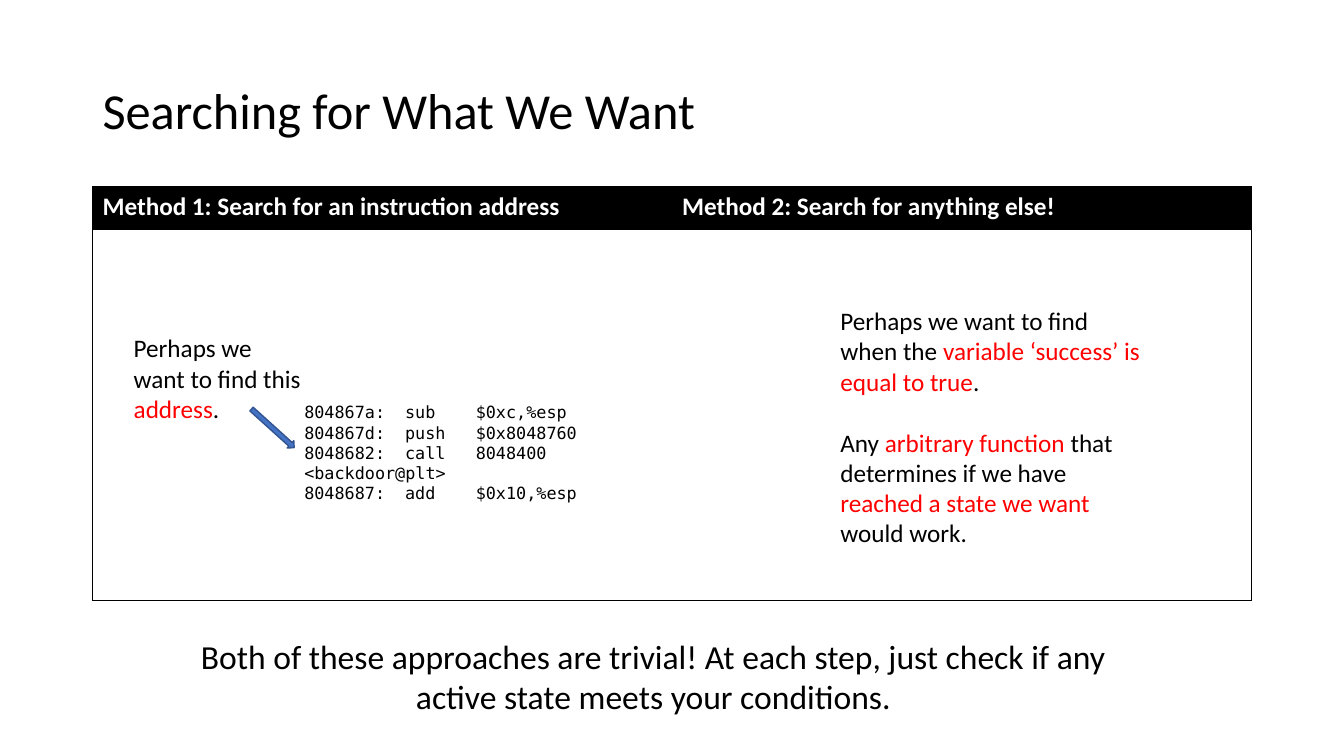
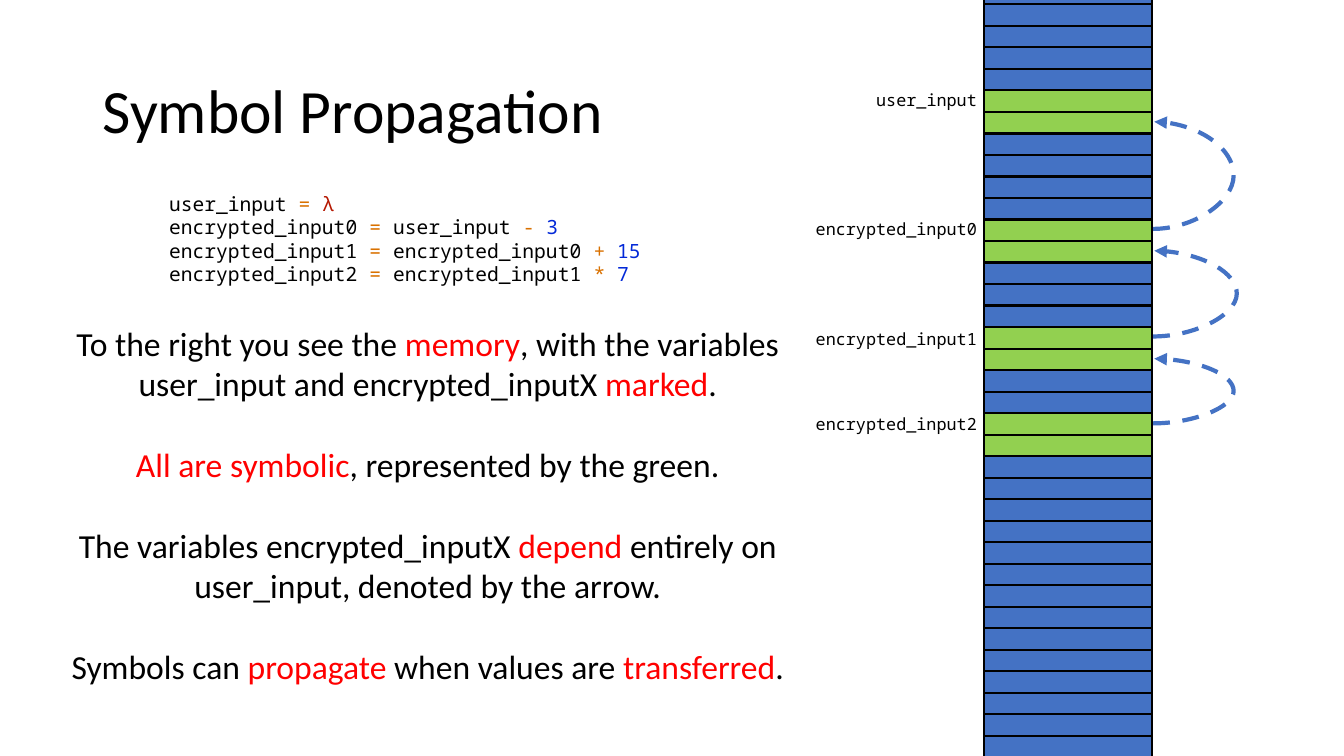
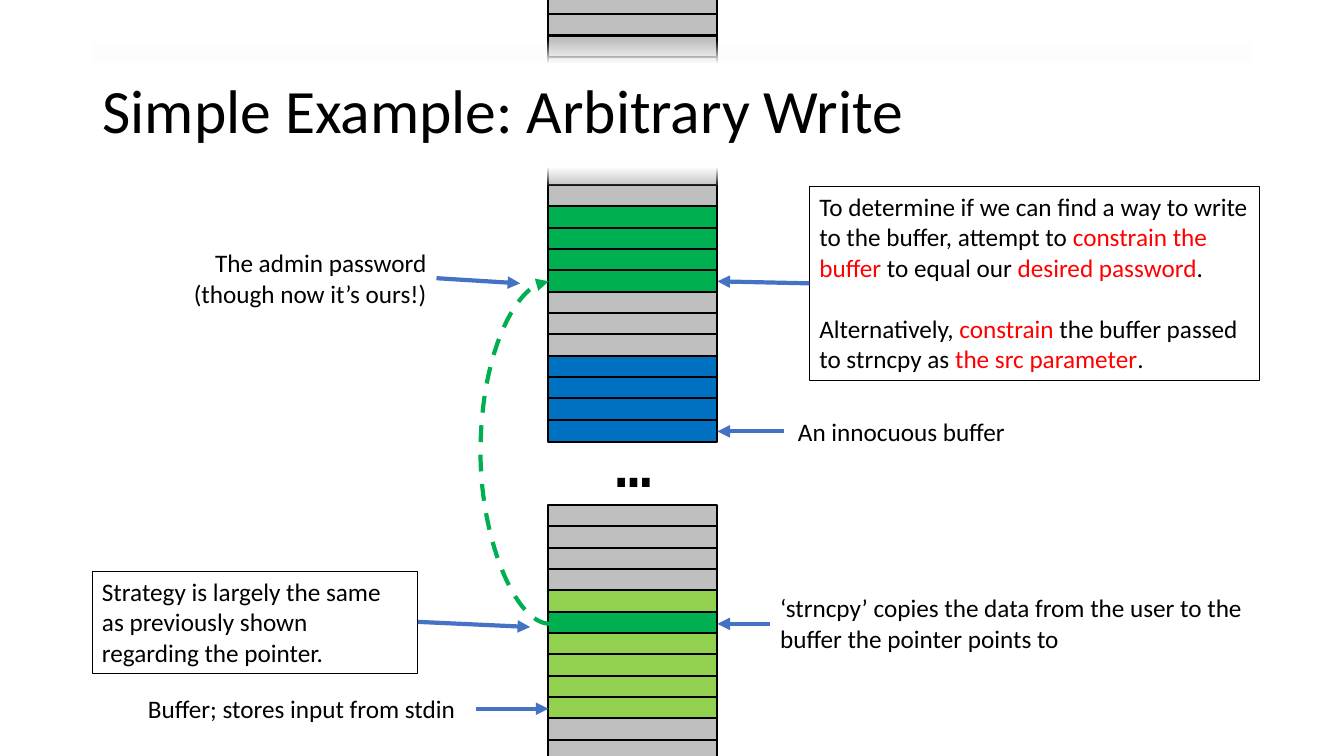
from pptx import Presentation
from pptx.dml.color import RGBColor
from pptx.enum.dml import MSO_LINE
from pptx.enum.shapes import MSO_CONNECTOR, MSO_SHAPE
from pptx.enum.text import MSO_ANCHOR, MSO_AUTO_SIZE, PP_ALIGN
from pptx.oxml import parse_xml
from pptx.oxml.ns import nsdecls, qn
from pptx.util import Cm, Pt

STRAIGHT, CURVE = MSO_CONNECTOR.STRAIGHT, MSO_CONNECTOR.CURVE
RECTANGLE, RIGHT_ARROW = MSO_SHAPE.RECTANGLE, MSO_SHAPE.RIGHT_ARROW
LEFT, CENTER, RIGHT = PP_ALIGN.LEFT, PP_ALIGN.CENTER, PP_ALIGN.RIGHT
DASH, MIDDLE, NO_AUTOFIT = MSO_LINE.DASH, MSO_ANCHOR.MIDDLE, MSO_AUTO_SIZE.NONE

BODY_FONT, LISTING_FONT, CODE_FONT = "Calibri", "DejaVu Sans Mono", "Noto Sans Mono"
BLACK, WHITE, RED = "000000", "FFFFFF", "FF0000"
ACCENT, BLUE, GRAY, LIME, GREEN = "4472C4", "0070C0", "BFBFBF", "92D050", "00B050"
ORANGE, NUMBER = "D97100", "0329D8"
SYNTAX = {"=": ORANGE, "-": ORANGE, "+": ORANGE, "*": ORANGE,
          "λ": "B51700", "3": NUMBER, "15": NUMBER, "7": NUMBER}

rgb = RGBColor.from_string


def add_text(slide, box, lines, size=18, font=BODY_FONT, align=LEFT, gap=0):
    """Add a text box; "|" splits runs, every second one red unless it is code syntax."""
    text_box = slide.shapes.add_textbox(*map(Cm, box))
    frame = text_box.text_frame
    frame.word_wrap = True
    for index, line in enumerate(lines):
        paragraph = frame.add_paragraph() if index else frame.paragraphs[0]
        paragraph.alignment = align
        if index:
            paragraph.space_before = Pt(gap)
        for position, part in enumerate(line.split("|")):
            if not part:
                continue
            run = paragraph.add_run()
            run.text = part
            run.font.size, run.font.name = Pt(size), font
            run.font.color.rgb = rgb(SYNTAX.get(part.strip(), RED if position % 2 else BLACK))
    return text_box


def add_arrow(slide, begin, end, color=ACCENT, bulge=0):
    """Draw a straight arrow, or a dashed curve that bulges sideways by the given Cm."""
    arrow = slide.shapes.add_connector(CURVE if bulge else STRAIGHT, *map(Cm, begin + end))
    arrow.line.color.rgb = rgb(color)
    arrow.line.width = Pt(3)
    properties = arrow._element.spPr
    if bulge:
        arrow.line.dash_style = DASH
        adjust = round(bulge / abs(end[0] - begin[0]) * 100000)
        guides = properties.find(qn("a:prstGeom")).get_or_add_avLst()
        guides.append(parse_xml(f'<a:gd {nsdecls("a")} name="adj1" fmla="val {adjust}"/>'))
    arrow.line._get_or_add_ln().append(parse_xml(f'<a:tailEnd {nsdecls("a")} type="triangle"/>'))
    properties.append(parse_xml(f'<a:effectLst {nsdecls("a")}/>'))


deck = Presentation()
deck.slide_width, deck.slide_height = Cm(33.87), Cm(19.05)
title_only = deck.slide_layouts[5]
layout_title = title_only.placeholders[0]
layout_title.left, layout_title.top = Cm(2.33), Cm(1.02)
layout_title.width, layout_title.height = Cm(29.21), Cm(3.68)

slides = []
for heading, size in [("Searching for What We Want", 36), ("Symbol Propagation", 44),
                      ("Simple Example: Arbitrary Write", 44)]:
    slide = deck.slides.add_slide(title_only)
    frame = slide.shapes.title.text_frame
    frame.text = heading
    frame.word_wrap, frame.auto_size, frame.vertical_anchor = True, NO_AUTOFIT, MIDDLE
    paragraph = frame.paragraphs[0]
    paragraph.alignment, paragraph.line_spacing = LEFT, 0.9
    paragraph.font.size, paragraph.font.name = Pt(size), BODY_FONT
    paragraph.font.color.rgb = rgb(BLACK)
    slides.append(slide)
search, propagation, write = slides

# Memory columns: None leaves a gap in the column
symbolic_cells = {5, 6, 11, 12, 16, 17, 20, 21}
propagation_cells = [LIME if i in symbolic_cells else ACCENT for i in range(36)]
write_cells = ([GRAY] * 4 + [None] * 4 + [GRAY] * 2 + [GREEN] * 4 + [GRAY] * 3
               + [BLUE] * 4 + [None] * 3 + [GRAY] * 4 + [LIME, GREEN] + [LIME] * 4 + [GRAY] * 2)
for slide, left, first, last, cells in [(propagation, 24.79, -0.43, 18.54, propagation_cells),
                                        (write, 13.82, -0.18, 18.64, write_cells)]:
    pitch = (last - first) / (len(cells) - 1)
    for index, color in enumerate(cells):
        if color is None:
            continue
        cell = slide.shapes.add_shape(RECTANGLE, Cm(left), Cm(first + index * pitch),
                                      Cm(4.24), Cm(0.56))
        cell.shadow.inherit = False
        cell.fill.solid()
        cell.fill.fore_color.rgb = rgb(color)
        cell.line.color.rgb = rgb(BLACK)
        cell.line.width = Pt(1.5)

# Slide 1: two search methods
methods = search.shapes.add_table(2, 2, Cm(2.33), Cm(4.7), Cm(29.21), Cm(10.44)).table
methods.horz_banding = False
methods.rows[0].height, methods.rows[1].height = Cm(1.07), Cm(9.37)
headers = ["Method 1: Search for an instruction address", "Method 2: Search for anything else!"]
for row in range(2):
    for column in range(2):
        cell = methods.cell(row, column)
        edges = {"lnL": column == 0, "lnR": column == 1, "lnT": True, "lnB": True}
        for edge, drawn in edges.items():
            fill = f'<a:solidFill><a:srgbClr val="{BLACK}"/></a:solidFill>' if drawn else "<a:noFill/>"
            cell._tc.get_or_add_tcPr().append(
                parse_xml(f'<a:{edge} {nsdecls("a")} w="6350">{fill}</a:{edge}>'))
        cell.fill.solid()
        cell.fill.fore_color.rgb = rgb(WHITE if row else BLACK)
        if row == 0:
            cell.text_frame.text = headers[column]
            font = cell.text_frame.paragraphs[0].runs[0].font
            font.size, font.name, font.bold = Pt(18), BODY_FONT, True
            font.color.rgb = rgb(WHITE)

add_text(search, (7.42, 10.01, 10.4, 2.31),
         ["804867a:\tsub    $0xc,%esp", "804867d:\tpush   $0x8048760",
          "8048682:\tcall   8048400 <backdoor@plt>", "8048687:\tadd    $0x10,%esp"],
         12, LISTING_FONT)
pointer = search.shapes.add_shape(RIGHT_ARROW, Cm(6.15), Cm(10.67), Cm(1.45), Cm(0.25))
pointer.rotation = 42.1
pointer.shadow.inherit = False
pointer.fill.solid()
pointer.fill.fore_color.rgb = rgb(ACCENT)
pointer.line.color.rgb = rgb("325491")
pointer.line.width = Pt(1)
add_text(search, (3.12, 8.26, 4.85, 2.56), ["Perhaps we want to find this |address|."])
add_text(search, (20.93, 7.57, 8.23, 6.4),
         ["Perhaps we want to find when the |variable ‘success’ is equal to true|.",
          "Any |arbitrary function |that determines if we have "
          "|reached a state we want |would work."], gap=22)
add_text(search, (3.78, 15.9, 25.37, 2.31),
         ["Both of these approaches are trivial! At each step, just check if any "
          "active state meets your conditions."], 24, align=CENTER)

# Slide 2: symbols spreading through memory
add_text(propagation, (4.01, 4.7, 13.56, 3.25),
         ["user_input |= |λ",
          "encrypted_input0 |= |user_input |- |3",
          "encrypted_input1 |=| encrypted_input0 |+ |15",
          "encrypted_input2 |=| encrypted_input1 |* |7"], 14, CODE_FONT)
add_text(propagation, (0.91, 8, 19.74, 9.5),
         ["To the right you see the |memory|, with the variables user_input and "
          "encrypted_inputX |marked|.",
          "|All are symbolic|, represented by the green.",
          "The variables encrypted_inputX |depend| entirely on user_input, denoted by the arrow.",
          "Symbols can |propagate| when values are |transferred|."], 24, align=CENTER, gap=29)
for variable, top in [("user_input", 2.13), ("encrypted_input0", 5.38),
                      ("encrypted_input1", 8.15), ("encrypted_input2", 10.29)]:
    add_text(propagation, (20.07, top, 4.8, 0.76), [variable], 12, CODE_FONT, RIGHT)
for source, target, bulge in [(10.67, 9.04, 2.03), (8.48, 6.32, 2.11), (5.77, 3.07, 2.03)]:
    add_arrow(propagation, (29.06, source), (29.09, target), bulge=bulge)

# Slide 3: writing to an arbitrary address
add_arrow(write, (13.86, 15.72), (13.83, 7.09), GREEN, 1.75)
add_text(write, (15.27, 10.62, 1.6, 2.13), ["…"], 44, LISTING_FONT)

# The title fades the column out behind it, so it lies above the cells
title = write.shapes.title
stops = [(0, "F6F8FC", 0), (16, WHITE, 100), (86, WHITE, 100), (100, WHITE, 0)]
stop_xml = "".join(
    f'<a:gs pos="{place * 1000}"><a:srgbClr val="{color}"><a:alpha val="{alpha * 1000}"/>'
    "</a:srgbClr></a:gs>" for place, color, alpha in stops)
title._element.spPr.append(parse_xml(
    f'<a:gradFill {nsdecls("a")}><a:gsLst>{stop_xml}</a:gsLst>'
    '<a:lin ang="5400000" scaled="0"/></a:gradFill>'))
write.shapes._spTree.append(title._element)

add_text(write, (3.48, 17.35, 9, 1.02), ["Buffer; stores input from stdin"])
add_text(write, (19.41, 14.81, 12.34, 1.8),
         ["‘strncpy’ copies the data from the user to the buffer the pointer points to"])
add_text(write, (19.86, 10.36, 6.5, 1.02), ["An innocuous buffer"])
add_text(write, (3.94, 6.12, 7.06, 1.8), ["The admin password (though now it’s ours!)"], align=RIGHT)
strategy = add_text(write, (2.32, 14.4, 8.21, 2.57),
                    ["Strategy is largely the same as previously shown regarding the pointer."])
constraint = add_text(write, (20.4, 4.7, 11.35, 4.88),
                      ["To determine if we can find a way to write to the buffer, attempt to "
                       "|constrain the buffer| to equal our |desired password|.",
                       "Alternatively, |constrain| the buffer passed to strncpy as "
                       "|the src parameter|."], gap=22)
for note in (strategy, constraint):
    note.line.color.rgb = rgb(BLACK)
    note.line.width = Pt(0.75)

for begin, end in [((11, 7.01), (13.11, 7.14)), ((19.76, 10.87), (18.08, 10.87)),
                   ((19.41, 15.72), (18.08, 15.72)), ((11.99, 17.86), (13.82, 17.86)),
                   ((10.53, 15.67), (13.36, 15.8)), ((20.4, 7.14), (18.08, 7.09))]:
    add_arrow(write, begin, end)

deck.save("out.pptx")
